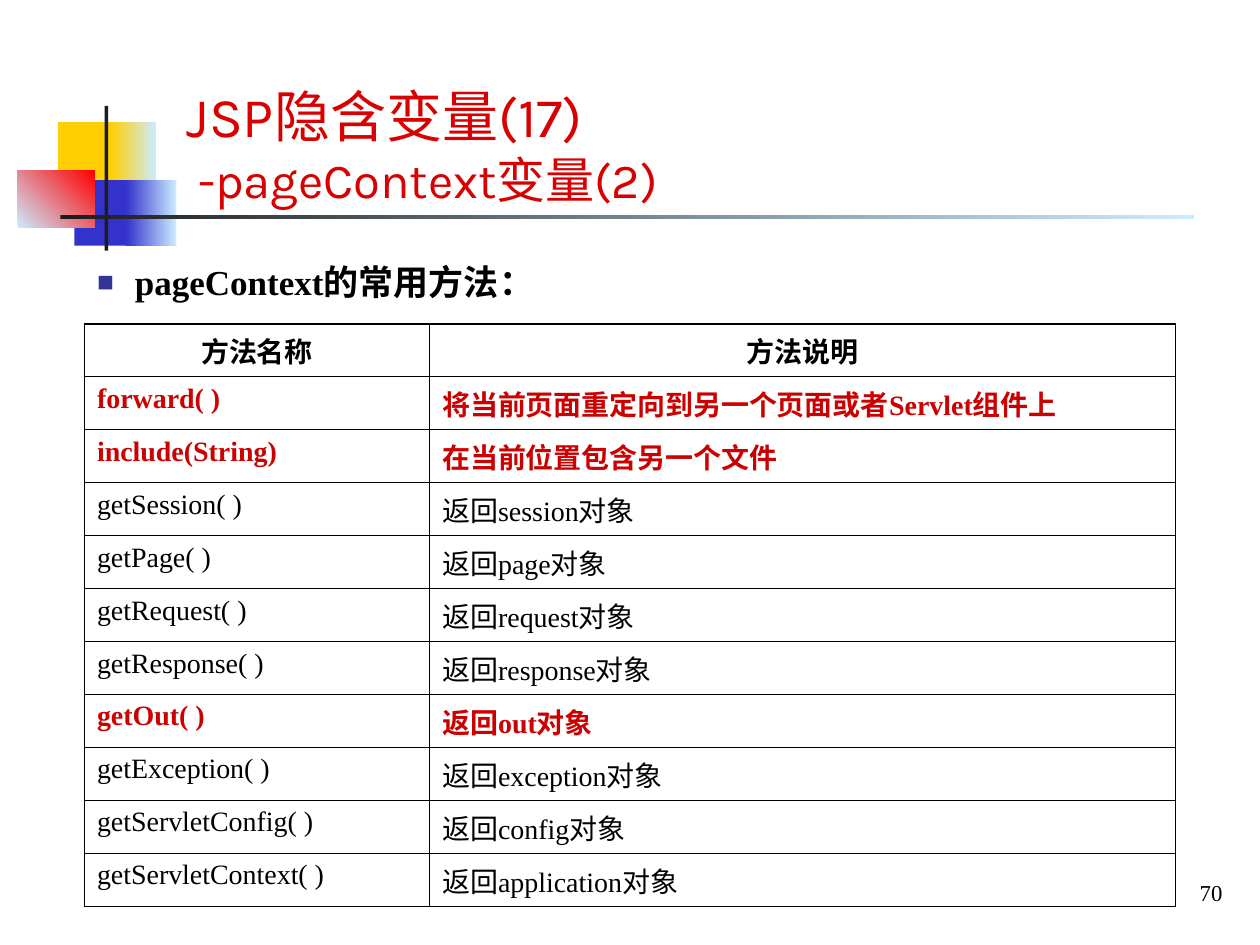
from pptx import Presentation
from pptx.dml.color import RGBColor
from pptx.enum.shapes import MSO_SHAPE
from pptx.enum.text import MSO_ANCHOR, MSO_AUTO_SIZE, PP_ALIGN
from pptx.oxml import parse_xml
from pptx.oxml.ns import nsdecls
from pptx.util import Inches, Pt

RECT = MSO_SHAPE.RECTANGLE
LEFT, CENTER, RIGHT = PP_ALIGN.LEFT, PP_ALIGN.CENTER, PP_ALIGN.RIGHT
TOP, MIDDLE, BOTTOM = MSO_ANCHOR.TOP, MSO_ANCHOR.MIDDLE, MSO_ANCHOR.BOTTOM

THEME = {
    "title_font": "Karla", "body_font": "Times New Roman",
    "title": "D80000", "text": "000000", "key": "CC0000", "bullet": "333399",
    "yellow": "FFCF01", "blue": "3333CC", "red": "FF0000",
    "dark": "1C1C1C", "pale": "CCECFF",
    "title_size": 32, "subtitle_size": 28, "body_size": 20,
    "cell_size": 16, "number_size": 13,
    "outer": 1.08, "inner": 0.45,
}

TITLE = "JSP隐含变量(17)"
SUBTITLE = " -pageContext变量(2)"
LEAD = "pageContext的常用方法："
PAGE = "70"
HEADER = ("方法名称", "方法说明")
METHODS = [
    ("forward( )", "将当前页面重定向到另一个页面或者Servlet组件上"),
    ("include(String)", "在当前位置包含另一个文件"),
    ("getSession( )", "返回session对象"),
    ("getPage( )", "返回page对象"),
    ("getRequest( )", "返回request对象"),
    ("getResponse( )", "返回response对象"),
    ("getOut( )", "返回out对象"),
    ("getException( )", "返回exception对象"),
    ("getServletConfig( )", "返回config对象"),
    ("getServletContext( )", "返回application对象"),
]
KEY_METHODS = {"forward( )", "include(String)", "getOut( )"}

DECOR = [
    ((0.46, 0.97, 0.48, 0.52), ("yellow",), 0),
    ((0.88, 0.97, 0.36, 0.52), ("yellow", "pale"), 0),
    ((0.59, 1.43, 0.46, 0.52), ("blue",), 0),
    ((1, 1.43, 0.4, 0.52), ("blue", "pale"), 0),
    ((0.14, 1.35, 0.61, 0.46), ("pale", "red"), 45),
    ((0.83, 0.84, 0.03, 1.15), ("dark",), 0),
    ((0.48, 1.71, 9, 0.03), ("dark", "pale"), 0),
]
TABLE_AT = (0.67, 2.57)
COLUMNS = (2.74, 5.92)
ROW_HEIGHT = 0.37


def rgb(name):
    return RGBColor.from_string(THEME[name])


def write(p, text, size="cell_size", font="body_font", color="text",
          bold=False, align=LEFT):
    p.alignment = align
    p.space_before = Pt(0)
    r = p.add_run()
    r.text = text
    r.font.name = THEME[font]
    r.font.size = Pt(THEME[size])
    r.font.bold = bold
    r.font.color.rgb = rgb(color)


def place(s, at, anchor):
    s.left, s.top, s.width, s.height = map(Inches, at)
    tf = s.text_frame
    tf.word_wrap = True
    tf.auto_size = MSO_AUTO_SIZE.NONE
    tf.vertical_anchor = anchor
    return tf.paragraphs[0]


def add_bullet(p, indent):
    pPr = p._p.get_or_add_pPr()
    pPr.set("marL", str(Inches(indent)))
    pPr.set("indent", str(-Inches(indent)))
    for xml in (f'<a:buClr {nsdecls("a")}><a:srgbClr val="{THEME["bullet"]}"/></a:buClr>',
                f'<a:buSzPct {nsdecls("a")} val="80000"/>',
                f'<a:buChar {nsdecls("a")} char="■"/>'):
        pPr.append(parse_xml(xml))


def add_decor(shapes, at, colors, angle):
    s = shapes.add_shape(RECT, *map(Inches, at))
    s.shadow.inherit = False
    s.line.fill.background()
    if len(colors) == 1:
        s.fill.solid()
        s.fill.fore_color.rgb = rgb(colors[0])
        return
    s.fill.gradient()
    s.fill.gradient_angle = angle
    for stop, color in zip(s.fill.gradient_stops, colors):
        stop.color.rgb = rgb(color)


def set_borders(cell, outer_sides):
    tcPr = cell._tc.get_or_add_tcPr()
    for i, side in enumerate("LRTB"):
        width = Pt(THEME["outer" if side in outer_sides else "inner"])
        tcPr.insert(i, parse_xml(
            f'<a:ln{side} {nsdecls("a")} w="{width}"><a:solidFill>'
            f'<a:srgbClr val="{THEME["text"]}"/></a:solidFill></a:ln{side}>'))


def add_methods(shapes):
    rows = [HEADER] + METHODS
    last = len(rows) - 1
    size = (sum(COLUMNS), ROW_HEIGHT * len(rows))
    table = shapes.add_table(len(rows), len(COLUMNS),
                             *map(Inches, TABLE_AT + size)).table
    table.horz_banding = False
    for column, width in zip(table.columns, COLUMNS):
        column.width = Inches(width)
    for i, row in enumerate(rows):
        table.rows[i].height = Inches(ROW_HEIGHT)
        key = row[0] in KEY_METHODS
        for j, text in enumerate(row):
            cell = table.cell(i, j)
            cell.fill.background()
            set_borders(cell, "LR"[j] + "T" * (i == 0) + "B" * (i == last))
            write(cell.text_frame.paragraphs[0], text,
                  color="key" if key else "text", bold=key or i == 0,
                  align=CENTER if i == 0 else LEFT)


def main():
    prs = Presentation()
    prs.slide_width, prs.slide_height = Inches(10), Inches(7.5)
    slide = prs.slides.add_slide(prs.slide_layouts[1])
    shapes = slide.shapes

    for at, colors, angle in DECOR:
        add_decor(shapes, at, colors, angle)

    p = place(shapes.title, (1.38, 0.52, 7.32, 1.18), BOTTOM)
    write(p, TITLE, size="title_size", font="title_font", color="title")
    p.add_line_break()
    write(p, SUBTITLE, size="subtitle_size", font="title_font", color="title")

    p = place(slide.placeholders[1], (0.67, 2.02, 8.98, 3.62), TOP)
    add_bullet(p, 0.3)
    write(p, LEAD, size="body_size", bold=True)

    add_methods(shapes)

    number_at = (7.89, 6.9, 1.91, 0.37)
    p = place(shapes.add_textbox(*map(Inches, number_at)), number_at, MIDDLE)
    write(p, PAGE, size="number_size", align=RIGHT)

    prs.save("out.pptx")


if __name__ == "__main__":
    main()
